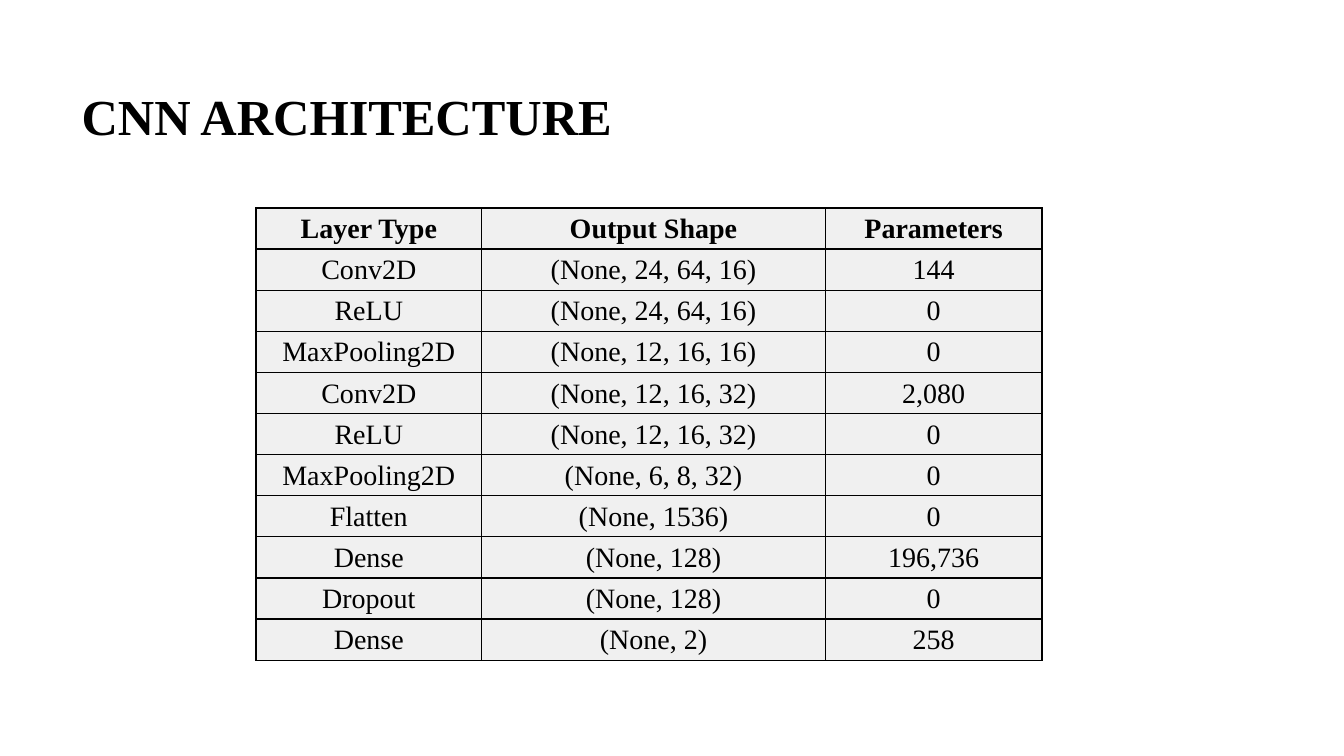
import dataclasses

import lxml.etree
import pptx
import pptx.dml.color
import pptx.enum.text
import pptx.oxml.ns
import pptx.slide
import pptx.table
import pptx.text.text
import pptx.util
from pptx.util import Cm

BLACK = pptx.dml.color.RGBColor(0x00, 0x00, 0x00)
LIGHT_GREY = pptx.dml.color.RGBColor(0xF0, 0xF0, 0xF0)
FONT_NAME = "Times New Roman"
COLUMN_WIDTHS = (Cm(5.69), Cm(8.66), Cm(5.46))
TABLE_HEIGHT = Cm(11.4)
HEADINGS = ("Layer Type", "Output Shape", "Parameters")


@dataclasses.dataclass(frozen=True)
class Layer:
    kind: str
    output_shape: str
    parameters: str = "0"


LAYERS = (
    Layer("Conv2D", "(None, 24, 64, 16)", "144"),
    Layer("ReLU", "(None, 24, 64, 16)"),
    Layer("MaxPooling2D", "(None, 12, 16, 16)"),
    Layer("Conv2D", "(None, 12, 16, 32)", "2,080"),
    Layer("ReLU", "(None, 12, 16, 32)"),
    Layer("MaxPooling2D", "(None, 6, 8, 32)"),
    Layer("Flatten", "(None, 1536)"),
    Layer("Dense", "(None, 128)", "196,736"),
    Layer("Dropout", "(None, 128)"),
    Layer("Dense", "(None, 2)", "258"),
)


def set_font(paragraph: pptx.text.text._Paragraph, size: int, bold: bool) -> None:
    font = paragraph.font
    font.name = FONT_NAME
    font.size = pptx.util.Pt(size)
    font.bold = bold
    font.color.rgb = BLACK


def add_borders(cell: pptx.table._Cell) -> None:
    qualify = pptx.oxml.ns.qn
    properties = cell._tc.get_or_add_tcPr()
    for index, side in enumerate(("a:lnL", "a:lnR", "a:lnT", "a:lnB")):
        line = lxml.etree.Element(qualify(side), w=str(pptx.util.Pt(1)))
        fill = lxml.etree.SubElement(line, qualify("a:solidFill"))
        lxml.etree.SubElement(fill, qualify("a:srgbClr"), val=str(BLACK))
        properties.insert(index, line)


def fill_cell(cell: pptx.table._Cell, text: str, bold: bool) -> None:
    cell.text = text
    cell.vertical_anchor = pptx.enum.text.MSO_ANCHOR.MIDDLE
    cell.margin_left = cell.margin_right = cell.margin_top = Cm(0.03)
    cell.margin_bottom = 0
    cell.fill.solid()
    cell.fill.fore_color.rgb = LIGHT_GREY
    add_borders(cell)
    paragraph = cell.text_frame.paragraphs[0]
    paragraph.alignment = pptx.enum.text.PP_ALIGN.CENTER
    set_font(paragraph, 20, bold)


def add_title(page: pptx.slide.Slide) -> None:
    title = page.shapes.title
    title.left, title.top = Cm(1.8), Cm(1.17)
    title.width, title.height = Cm(34.09), Cm(3.68)
    title.text_frame.text = "CNN ARCHITECTURE"
    title.text_frame.word_wrap = True
    title.text_frame.vertical_anchor = pptx.enum.text.MSO_ANCHOR.MIDDLE
    paragraph = title.text_frame.paragraphs[0]
    paragraph.alignment = pptx.enum.text.PP_ALIGN.LEFT
    paragraph.line_spacing = 0.9
    set_font(paragraph, 36, True)


def add_layer_table(page: pptx.slide.Slide) -> None:
    rows = (HEADINGS, *map(dataclasses.astuple, LAYERS))
    table = page.shapes.add_table(
        len(rows), len(HEADINGS), Cm(6.45), Cm(5.24), sum(COLUMN_WIDTHS), TABLE_HEIGHT
    ).table
    table.horz_banding = False
    for column, width in zip(table.columns, COLUMN_WIDTHS):
        column.width = width
    for row_index, row in enumerate(rows):
        for column_index, text in enumerate(row):
            fill_cell(table.cell(row_index, column_index), text, row_index == 0)


def main() -> None:
    deck = pptx.Presentation()
    deck.slide_width, deck.slide_height = Cm(33.87), Cm(19.05)
    page = deck.slides.add_slide(deck.slide_layouts.get_by_name("Title Only"))
    add_title(page)
    add_layer_table(page)
    deck.save("out.pptx")


if __name__ == "__main__":
    main()
